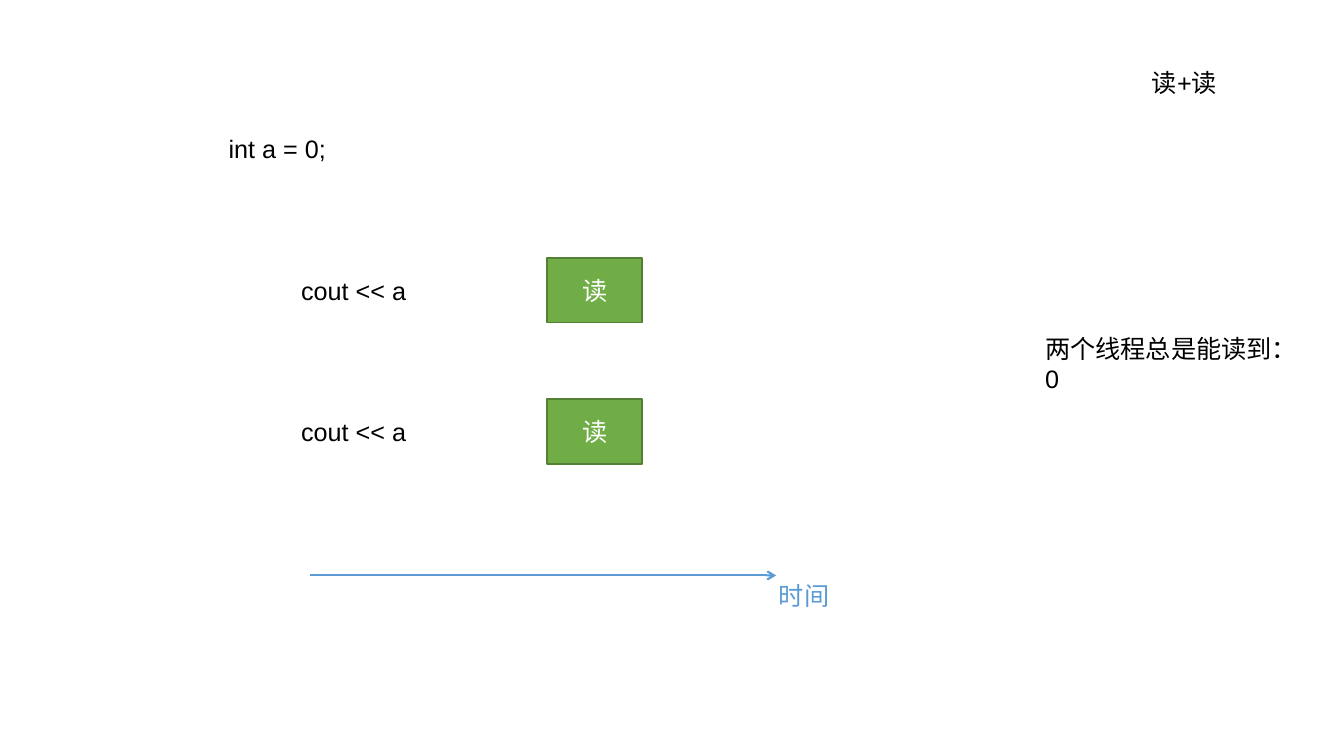
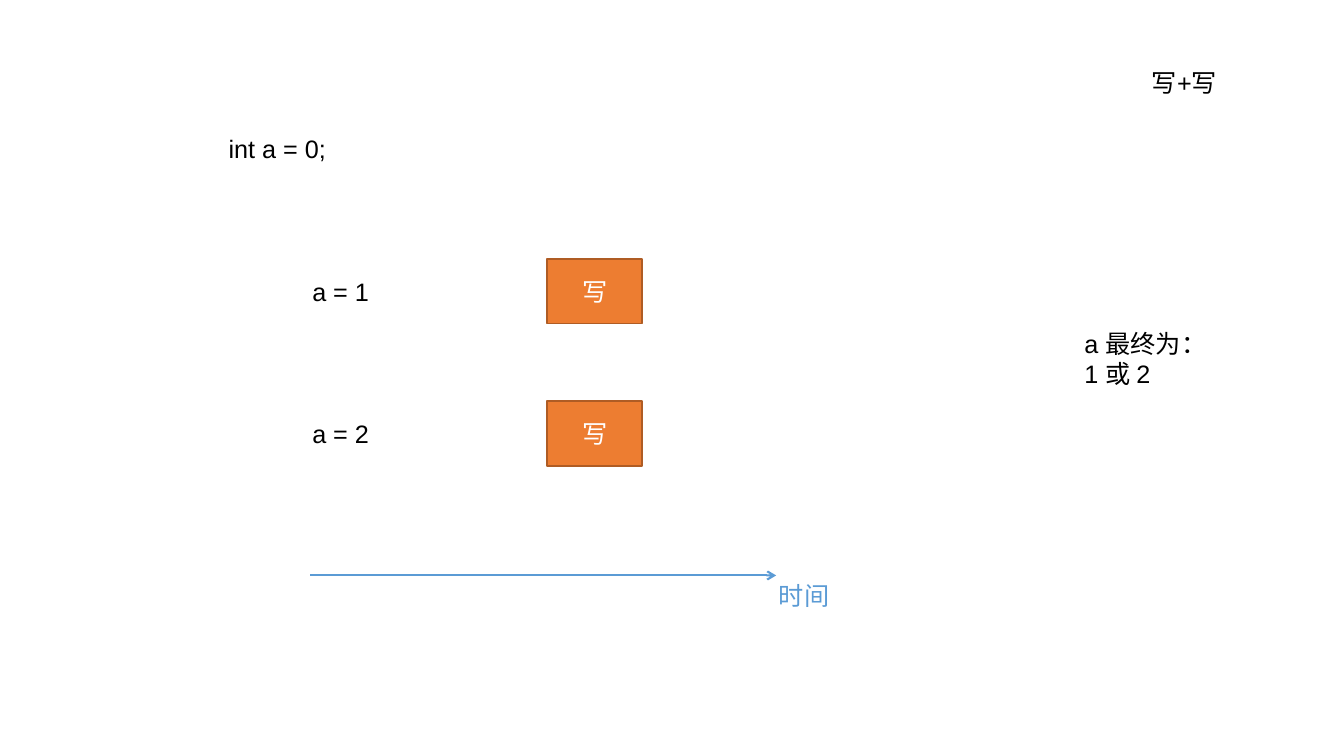
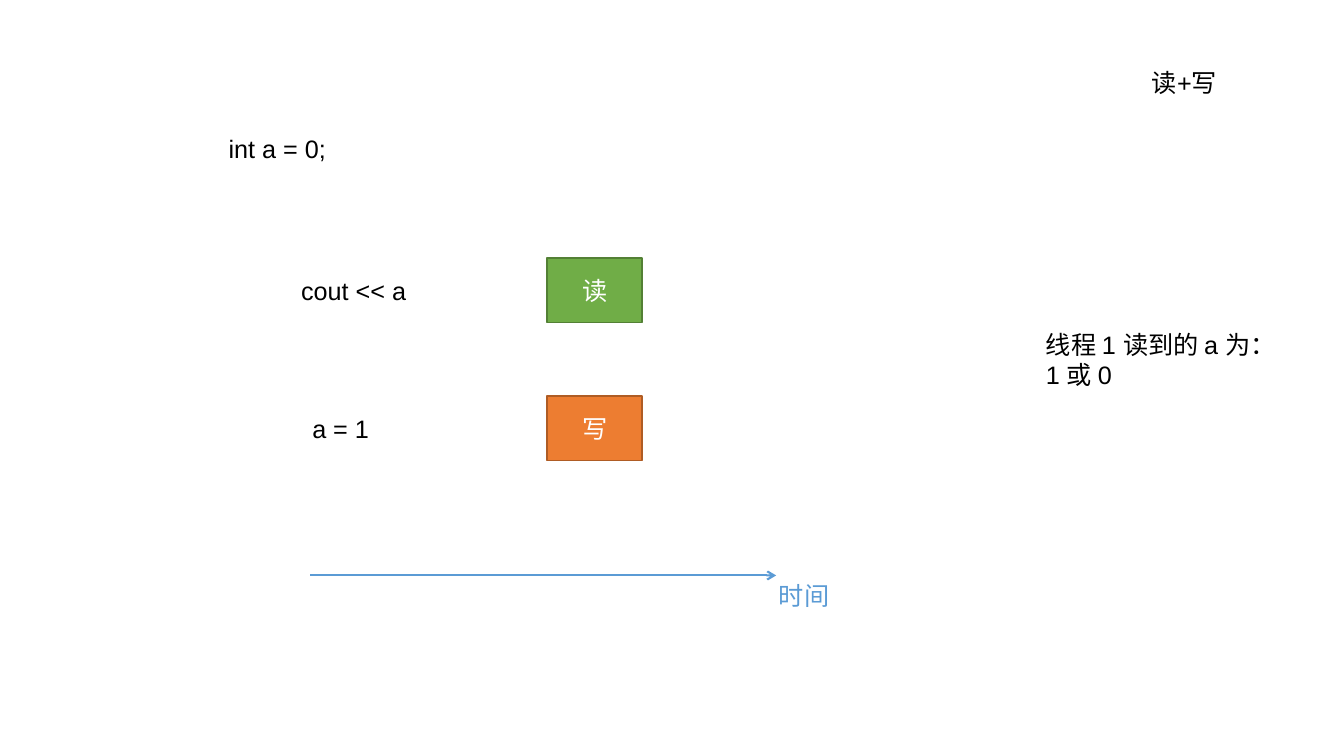
from dataclasses import dataclass
from typing import Any

from lxml import etree
from pptx import Presentation
from pptx import util as u
from pptx.dml.color import RGBColor
from pptx.enum import shapes, text
from pptx.oxml.ns import qn

# Shared style
BLACK, WHITE, BLUE = "000000", "FFFFFF", "5B9BD5"
FONT = {"name": "Arial", "size": u.Pt(18)}
LABEL_FRAME = {"word_wrap": False, "auto_size": text.MSO_AUTO_SIZE.SHAPE_TO_FIT_TEXT}
BLOCK_FRAME = {"word_wrap": True, "vertical_anchor": text.MSO_ANCHOR.MIDDLE}

# Shared layout, in centimetres
LINE_HEIGHT = 1.02
BLOCK_LEFT, BLOCK_WIDTH, BLOCK_HEIGHT = 13.79, 2.39, 1.63
CODE_DROP = (BLOCK_HEIGHT - LINE_HEIGHT) / 2
AXIS_LEFT, AXIS_RIGHT, AXIS_TOP = 7.82, 19.56, 14.5


@dataclass(frozen=True)
class Operation:
    name: str
    fill: str
    outline: str
    code_left: float
    code_width: float


@dataclass(frozen=True)
class Step:
    operation: Operation
    code: str
    top: float


@dataclass(frozen=True)
class Label:
    lines: tuple[str, ...]
    left: float
    top: float
    width: float
    height: float = LINE_HEIGHT
    color: str = BLACK


@dataclass(frozen=True)
class Scenario:
    heading: str
    steps: tuple[Step, ...]
    result: Label


READ = Operation("读", "70AD47", "538035", 7.34, 3.15)
WRITE = Operation("写", "ED7D31", "AF5C24", 7.62, 1.93)

SCENARIOS = (
    Scenario(
        "读+读",
        (Step(READ, "cout << a", 6.5), Step(READ, "cout << a", 10.06)),
        Label(("两个线程总是能读到：", "0"), 26.09, 8.28, 6.86, 1.8),
    ),
    Scenario(
        "写+写",
        (Step(WRITE, "a = 1", 6.53), Step(WRITE, "a = 2", 10.11)),
        Label(("a 最终为：", "1 或 2"), 27.08, 8.15, 3.58, 1.8),
    ),
    Scenario(
        "读+写",
        (Step(READ, "cout << a", 6.5), Step(WRITE, "a = 1", 9.98)),
        Label(("线程 1 读到的 a 为：", "1 或 0"), 26.11, 8.18, 6.38, 1.8),
    ),
)


def rgb(color: str) -> RGBColor:
    return RGBColor.from_string(color)


def apply(target: Any, values: dict[str, Any]) -> None:
    for name, value in values.items():
        setattr(target, name, value)


def write_lines(frame: Any, lines: tuple[str, ...], color: str, align: Any) -> None:
    for index, line in enumerate(lines):
        para = frame.add_paragraph() if index else frame.paragraphs[0]
        para.alignment = align
        span = para.add_run()
        span.text = line
        apply(span.font, FONT)
        span.font.color.rgb = rgb(color)


def draw_label(parent: Any, label: Label) -> None:
    box = parent.shapes.add_textbox(
        u.Cm(label.left), u.Cm(label.top), u.Cm(label.width), u.Cm(label.height)
    )
    apply(box.text_frame, LABEL_FRAME)
    write_lines(box.text_frame, label.lines, label.color, text.PP_ALIGN.LEFT)


def draw_step(page: Any, step: Step) -> None:
    group = page.shapes.add_group_shape()
    operation = step.operation
    block = group.shapes.add_shape(
        shapes.MSO_SHAPE.RECTANGLE,
        u.Cm(BLOCK_LEFT), u.Cm(step.top), u.Cm(BLOCK_WIDTH), u.Cm(BLOCK_HEIGHT),
    )
    block.shadow.inherit = False
    block.fill.solid()
    block.fill.fore_color.rgb = rgb(operation.fill)
    block.line.color.rgb = rgb(operation.outline)
    block.line.width = u.Pt(1)
    apply(block.text_frame, BLOCK_FRAME)
    write_lines(block.text_frame, (operation.name,), WHITE, text.PP_ALIGN.CENTER)
    draw_label(group, Label(
        (step.code,), operation.code_left, step.top + CODE_DROP, operation.code_width
    ))


def draw_time_axis(page: Any) -> None:
    group = page.shapes.add_group_shape()
    arrow = group.shapes.add_connector(
        shapes.MSO_CONNECTOR.STRAIGHT,
        u.Cm(AXIS_LEFT), u.Cm(AXIS_TOP), u.Cm(AXIS_RIGHT), u.Cm(AXIS_TOP),
    )
    arrow.line.color.rgb = rgb(BLUE)
    arrow.line.width = u.Pt(1.5)
    properties = arrow._element.spPr
    etree.SubElement(properties.find(qn("a:ln")), qn("a:tailEnd"), type="arrow")
    etree.SubElement(properties, qn("a:effectLst"))
    draw_label(group, Label(("时间",), 19.38, AXIS_TOP, 1.78, color=BLUE))


def draw_scenario(page: Any, scenario: Scenario) -> None:
    # Parts found on every slide
    draw_label(page, Label(("int a = 0;",), 5.51, 3.23, 2.97))
    draw_time_axis(page)

    # The two threads and their outcome
    draw_label(page, Label((scenario.heading,), 28.78, 1.57, 2.16))
    for step in scenario.steps:
        draw_step(page, step)
    draw_label(page, scenario.result)


def main() -> None:
    deck = Presentation()
    apply(deck, {"slide_width": u.Cm(33.87), "slide_height": u.Cm(19.05)})
    blank = deck.slide_layouts[6]
    for scenario in SCENARIOS:
        draw_scenario(deck.slides.add_slide(blank), scenario)
    deck.save("out.pptx")


if __name__ == "__main__":
    main()
